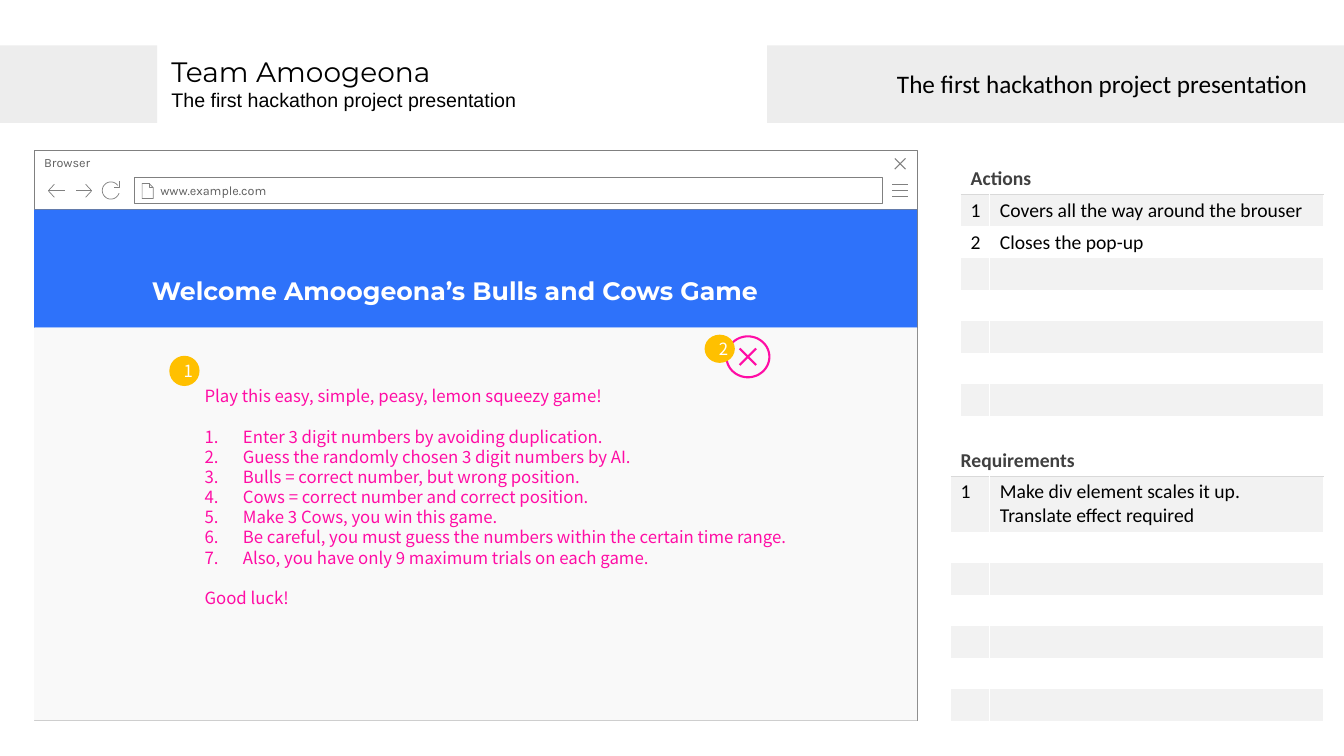
from math import cos, sin, radians
from dataclasses import dataclass
from lxml.etree import SubElement
from pptx import Presentation
from pptx.dml.color import RGBColor
from pptx.enum.shapes import MSO_SHAPE
from pptx.enum.text import MSO_ANCHOR, MSO_AUTO_SIZE, PP_ALIGN
from pptx.oxml.ns import qn
from pptx.util import Inches, Pt

TEAM = "Team Amoogeona"
EVENT = "The first hackathon project presentation"
HELLO = "Welcome Amoogeona’s Bulls and Cows Game"
INTRO = "Play this easy, simple, peasy, lemon squeezy game!"
RULES = [
    "Enter 3 digit numbers by avoiding duplication.",
    "Guess the randomly chosen 3 digit numbers by AI.",
    "Bulls = correct number, but wrong position.",
    "Cows = correct number and correct position.",
    "Make 3 Cows, you win this game.",
    "Be careful, you must guess the numbers within the certain time range.",
    "Also, you have only 9 maximum trials on each game.",
]
CLOSE = "Good luck!"
NOTES = [
    dict(head="Actions", at=(95.3, 16.2), cols=(2.9, 33.1), tall=3.13,
         rows=["Covers all the way around the brouser", "Closes the pop-up"]),
    dict(head="Requirements", at=(94.3, 44.1), cols=(3.9, 33.1), tall=5.5,
         rows=["Make div element scales it up. Translate effect required"]),
]
TAGS = [("1", (16.8, 35.3, 3, 3)), ("2", (69.9, 33.2, 3, 2.8))]
ROWS, ROW = 8, 3.13


@dataclass(frozen=True)
class Theme:
    white: str = "FFFFFF"
    black: str = "000000"
    band: str = "EDEDED"
    stripe: str = "F2F2F2"
    rule: str = "D9D9D9"
    head: str = "404040"
    edge: str = "808080"
    label: str = "5F5F5F"
    blue: str = "2E72FA"
    page: str = "F9F9F9"
    pink: str = "FF0DA5"
    gold: str = "FFC000"
    big: int = 20
    mid: int = 18
    note: int = 14
    small: int = 12
    tiny: int = 9
    sans: str = "Calibri"
    show: str = "Montserrat"
    plain: str = "Arial"
    web: str = "Karla"
    game: str = "Noto Sans CJK KR"


T = Theme()


def grid(n):
    return Inches(n / 10)


def ink(code):
    return RGBColor.from_string(code)


def write(para, text, size, face, tint, bold=False):
    run = para.add_run()
    run.text = text
    font = run.font
    font.size, font.name, font.bold = Pt(size), face, bold
    font.color.rgb = ink(tint)


def place(item, at):
    item.left, item.top, item.width, item.height = map(grid, at)


def style(item, fill=None, line=None, width=0.5):
    item.shadow.inherit = False
    if fill:
        item.fill.solid()
        item.fill.fore_color.rgb = ink(fill)
    else:
        item.fill.background()
    if line:
        item.line.color.rgb = ink(line)
        item.line.width = Pt(width)
    else:
        item.line.fill.background()


def block(at, fill, line=None, kind=MSO_SHAPE.RECTANGLE):
    item = slide.shapes.add_shape(kind, *map(grid, at))
    style(item, fill, line)
    return item


def label(at, *words):
    frame = slide.shapes.add_textbox(*map(grid, at)).text_frame
    frame.word_wrap = False
    write(frame.paragraphs[0], *words)


def icon(strokes, line=T.edge, width=0.5):
    paths = [[(grid(x), grid(y)) for x, y in stroke] for stroke in strokes]
    pen = slide.shapes.build_freeform(*paths[0][0], scale=1.0)
    for step, pts in enumerate(paths):
        if step:
            pen.move_to(*pts[0])
        pen.add_line_segments(pts[1:], close=False)
    style(pen.convert_to_shape(), None, line, width)


def arc(x, y, rx, ry, start, end):
    return [(x + rx * cos(radians(a)), y + ry * sin(radians(a)))
            for a in range(start, end + 1, 6)]


def cross(x, y, r):
    return [[(x - r, y - r), (x + r, y + r)], [(x + r, y - r), (x - r, y + r)]]


def arrow(tip, tail, y):
    neck = tip + (0.6 if tail > tip else -0.6)
    return [[(neck, y - 0.65), (tip, y), (neck, y + 0.65)], [(tip, y), (tail, y)]]


def border(cell, side, tint):
    props = cell._tc.get_or_add_tcPr()
    line = SubElement(props, qn("a:" + side), w=str(Pt(1)))
    fill = SubElement(line, qn("a:solidFill"))
    SubElement(fill, qn("a:srgbClr"), val=tint)


def notes(head, at, cols, tall, rows):
    highs = [ROW, tall] + [ROW] * (ROWS - 2)
    box = (*at, sum(cols), sum(highs))
    table = slide.shapes.add_table(ROWS, 2, *map(grid, box)).table
    table.first_row = table.horz_banding = False
    table._tbl.tblPr[0].text = "{2D5ABB26-0587-4C30-8999-92F81FD0307C}"
    for col, wide in zip(table.columns, cols):
        col.width = grid(wide)
    table.cell(0, 0).merge(table.cell(0, 1))
    words = [(head, "")] + [(str(n), text) for n, text in enumerate(rows, 1)]
    words += [("", "")] * (ROWS - len(words))
    for r, pair in enumerate(words):
        table.rows[r].height = grid(highs[r])
        for c, text in enumerate(pair):
            cell = table.cell(r, c)
            cell.margin_left = cell.margin_right = grid(1)
            cell.margin_top = cell.margin_bottom = grid(0.4)
            border(cell, "lnR", T.white)
            if r == 0:
                border(cell, "lnB", T.rule)
            cell.fill.solid()
            cell.fill.fore_color.rgb = ink(T.stripe if r % 2 else T.white)
            para = cell.text_frame.paragraphs[0]
            if text:
                write(para, text, T.note, T.sans, T.black if r else T.head, r == 0)
            else:
                end = SubElement(para._p, qn("a:endParaRPr"), sz=str(T.note * 100))
                SubElement(end, qn("a:latin"), typeface=T.sans)


deck = Presentation()
deck.slide_width, deck.slide_height = grid(133.33), grid(75)
slide = deck.slides.add_slide(deck.slide_layouts[1])
title, body = slide.placeholders

block((76.1, 4.5, 57.23, 7.7), T.band)
label((88, 6.3, 43.2, 4), EVENT, T.mid, T.sans, T.black)
block((0, 4.5, 15.6, 7.7), T.band)

place(title, (16, 4.9, 36.4, 6.7))
frame = title.text_frame
frame.word_wrap, frame.auto_size = False, MSO_AUTO_SIZE.NONE
frame.vertical_anchor = MSO_ANCHOR.TOP
write(frame.paragraphs[0], TEAM, T.big, T.show, T.black)
write(frame.add_paragraph(), EVENT, T.note, T.plain, T.black)
for para in frame.paragraphs:
    para.alignment = PP_ALIGN.LEFT

for note in NOTES:
    notes(**note)

block((3.4, 20.8, 87.6, 50.7), T.white, T.edge)
for at, text, inset, anchor in [
    ((3.4, 14.9, 87.6, 5.9), "Browser", 1, MSO_ANCHOR.TOP),
    ((13.3, 17.6, 74.2, 2.6), "www.example.com", 2.6, MSO_ANCHOR.MIDDLE),
]:
    frame = block(at, T.white, T.edge).text_frame
    frame.margin_left, frame.vertical_anchor = grid(inset), anchor
    frame.paragraphs[0].alignment = PP_ALIGN.LEFT
    write(frame.paragraphs[0], text, T.tiny, T.web, T.label)
icon([[(88.5, y), (90.1, y)] for y in (18.3, 18.9, 19.5)])
icon(cross(89.3, 16.25, 0.53), width=0.75)
icon([[(14.8, 18.2), (14.8, 18.6), (15.2, 18.6)],
      [(14.8, 18.2), (14.1, 18.2), (14.1, 19.7), (15.2, 19.7), (15.2, 18.6), (14.8, 18.2)]])
icon(arrow(4.8, 6.5, 18.93))
icon(arrow(9.1, 7.5, 18.93))
icon([[(11.8, 18), (11.8, 18.6), (11.3, 18.6)], arc(11, 18.9, 0.85, 0.85, 18, 324)])

block((3.4, 20.8, 87.6, 11.7), T.blue)
label((14.1, 26.8, 65, 4), HELLO, T.mid, T.show, T.white, True)
block((3.4, 32.5, 87.6, 39), T.page)

slide.shapes._spTree.append(body._element)
place(body, (19.3, 37.8, 62.2, 23.2))
frame = body.text_frame
frame.word_wrap, frame.auto_size = True, MSO_AUTO_SIZE.NONE
lines = [INTRO, *RULES, CLOSE]
for n, text in enumerate(lines):
    para = frame.add_paragraph() if n else frame.paragraphs[0]
    listed = text in RULES
    para.space_before = Pt(14.4 if n in (1, len(lines) - 1) else 0)
    props = para._p.get_or_add_pPr()
    props.set("marL", str(grid(3.8) if listed else 0))
    props.set("indent", str(-grid(3.8) if listed else 0))
    if listed:
        SubElement(props, qn("a:buFont"), typeface="+mj-lt")
        SubElement(props, qn("a:buAutoNum"), type="arabicPeriod")
    else:
        SubElement(props, qn("a:buNone"))
    write(para, text, T.small, T.game, T.pink)

icon([arc(74.2, 35.4, 2.13, 2.03, 0, 360), *cross(74.2, 35.4, 0.82)], T.pink, 1.5)
for text, at in TAGS:
    frame = block(at, T.gold, kind=MSO_SHAPE.OVAL).text_frame
    frame.vertical_anchor = MSO_ANCHOR.MIDDLE
    frame.paragraphs[0].alignment = PP_ALIGN.CENTER
    write(frame.paragraphs[0], text, T.small, T.game, T.white)

deck.save("out.pptx")
